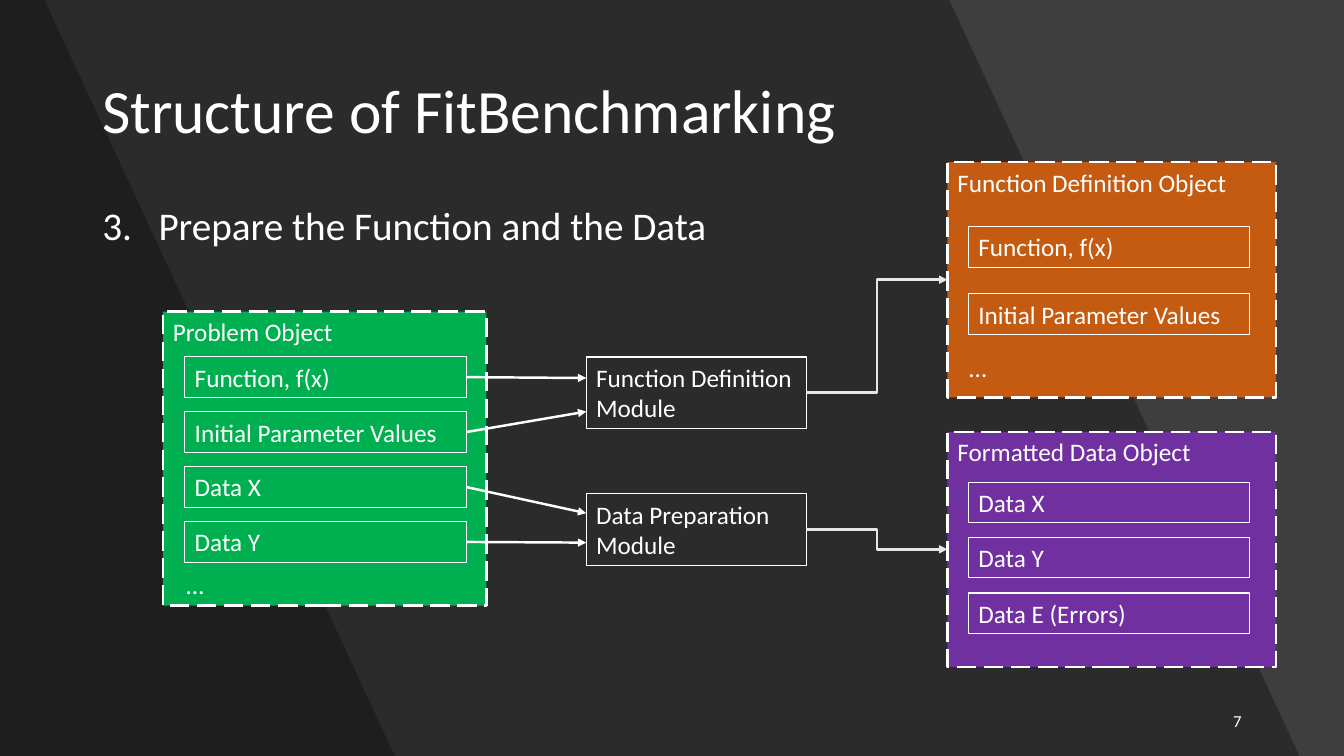
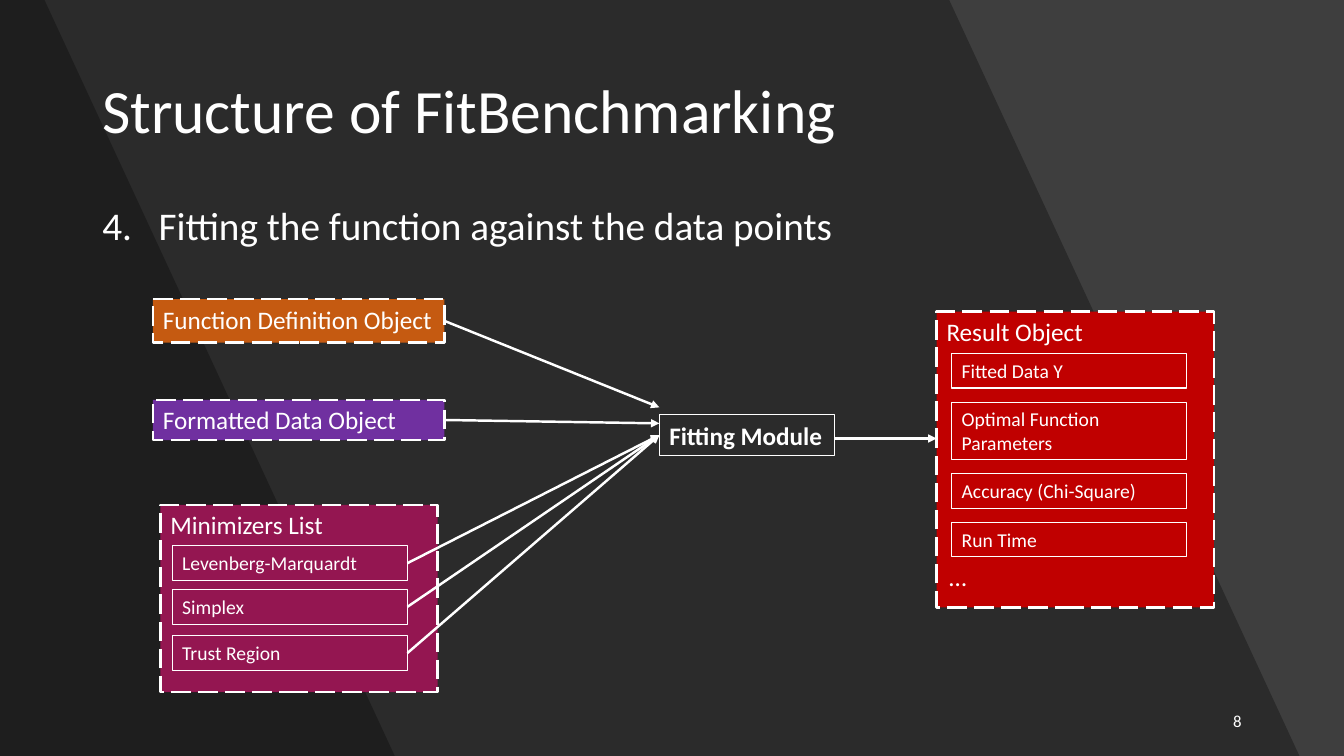
from lxml.etree import SubElement
from pptx import Presentation
from pptx.dml.color import RGBColor
from pptx.enum.dml import MSO_LINE
from pptx.enum.shapes import MSO_CONNECTOR, MSO_SHAPE
from pptx.enum.text import MSO_ANCHOR, PP_ALIGN
from pptx.oxml.ns import qn
from pptx.util import Inches, Pt

# Grid of 160 columns by 90 rows; every position below is in cells
CELL = Inches(1 / 12)
COLUMNS, ROWS = 160, 90

FONT = "Calibri"
WHITE = RGBColor(0xFF, 0xFF, 0xFF)
BLACK = RGBColor(0x00, 0x00, 0x00)
BACKDROP = RGBColor(0x45, 0x45, 0x45)
PALE = RGBColor(0xE7, 0xE6, 0xE6)
GREEN = RGBColor(0x00, 0xB0, 0x50)
ORANGE = RGBColor(0xC5, 0x5A, 0x11)
PURPLE = RGBColor(0x70, 0x30, 0xA0)
PLUM = RGBColor(0x94, 0x16, 0x51)
RED = RGBColor(0xC0, 0x00, 0x00)


def write(slide, text, place, size, edge=None, fill=None):
    """Add text, inside a rectangle when an edge width is given."""
    area = [round(cells * CELL) for cells in place]
    if edge is None:
        shape = slide.shapes.add_textbox(*area)
    else:
        shape = slide.shapes.add_shape(MSO_SHAPE.RECTANGLE, *area)
        shape.shadow.inherit = False
        shape.line.color.rgb = WHITE
        shape.line.width = Pt(edge)
        if fill is None:
            shape.fill.background()
        else:
            shape.fill.solid()
            shape.fill.fore_color.rgb = fill
            shape.line.dash_style = MSO_LINE.LONG_DASH
    frame = shape.text_frame
    frame.word_wrap = True
    frame.vertical_anchor = MSO_ANCHOR.TOP
    frame.text = text
    paragraph = frame.paragraphs[0]
    paragraph.alignment = PP_ALIGN.LEFT
    paragraph.font.name = FONT
    paragraph.font.size = Pt(size)
    paragraph.font.color.rgb = WHITE
    return shape


def arrow(slide, source, target, leave=None, enter=None,
          kind=MSO_CONNECTOR.STRAIGHT, color=WHITE):
    """Run from source's right side to target's left, mid-side unless a row is given."""
    link = slide.shapes.add_connector(
        kind, source.left + source.width, round((leave or 0) * CELL),
        target.left, round((enter or 0) * CELL))
    if leave is None:
        link.begin_connect(source, 3)
    if enter is None:
        link.end_connect(target, 1)
    link.line.color.rgb = color
    link.line.width = Pt(1.75)
    properties = link._element.spPr
    SubElement(properties.find(qn("a:ln")), qn("a:tailEnd"), type="triangle")
    SubElement(properties, qn("a:effectLst"))


prs = Presentation()
prs.slide_width = COLUMNS * CELL
prs.slide_height = ROWS * CELL
backdrop = prs.slide_master.background.fill
backdrop.solid()
backdrop.fore_color.rgb = BACKDROP

# Shared parts: shaded bands, title, numbered step and page number
# Each band: top right column, bottom right column, opacity in percent
BANDS = [(COLUMNS, COLUMNS, 9), (113, 154.7, 30), (5.3, 47, 30)]
PREPARE, FIT = 3, 4
STEPS = [
    (PREPARE, "Prepare the Function and the Data", 7),
    (FIT, "Fitting the function against the data points", 8),
]
slides = {}
for step, topic, page in STEPS:
    slide = prs.slides.add_slide(prs.slide_layouts[6])
    slides[step] = slide
    for top_right, bottom_right, opacity in BANDS:
        if top_right == bottom_right:
            band = slide.shapes.add_shape(
                MSO_SHAPE.RECTANGLE, 0, 0, prs.slide_width, prs.slide_height)
        else:
            outline = slide.shapes.build_freeform(0, 0)
            outline.add_line_segments([
                (top_right * CELL, 0),
                (bottom_right * CELL, ROWS * CELL),
                (0, ROWS * CELL)])
            band = outline.convert_to_shape()
        band.shadow.inherit = False
        band.line.fill.background()
        band.fill.solid()
        band.fill.fore_color.rgb = BLACK
        tint = band._element.spPr.find(qn("a:solidFill"))[0]
        SubElement(tint, qn("a:alpha"), val=str(opacity * 1000))

    title = write(slide, "Structure of FitBenchmarking", (11, 4.8, 138, 17.4), 44)
    title.text_frame.vertical_anchor = MSO_ANCHOR.MIDDLE
    title.text_frame.paragraphs[0].line_spacing = 0.9

    heading = write(slide, topic, (11, 24, 138, 57), 28).text_frame.paragraphs[0]
    heading.line_spacing = 0.9
    heading.space_before = Pt(10)
    numbering = heading._p.get_or_add_pPr()
    indent = round(6.7 * CELL)
    numbering.set("marL", str(indent))
    numbering.set("indent", str(-indent))
    counter = SubElement(numbering, qn("a:buAutoNum"),
                         type="arabicPeriod", startAt=str(step))
    numbering.find(qn("a:defRPr")).addprevious(counter)

    number = write(slide, str(page), (113, 83.4, 36, 4.8), 12)
    number.text_frame.vertical_anchor = MSO_ANCHOR.MIDDLE
    number.text_frame.paragraphs[0].alignment = PP_ALIGN.RIGHT

# Object panels: step, name, fill, place, then item column, width, size
# and the items as (text, row, height)
PANELS = [
    (PREPARE, "Problem Object", GREEN, (19.4, 37.1, 38.5, 35), 22, 33.5, 18,
     [(text, 42.5 + 6.54 * i, 4.8) for i, text in enumerate(
         ["Function, f(x)", "Initial Parameter Values", "Data X", "Data Y"])]),
    (PREPARE, "Function Definition Object", ORANGE, (112.8, 19.3, 39.1, 28), 115.3, 33.5, 18,
     [("Function, f(x)", 27, 4.8), ("Initial Parameter Values", 35, 4.8)]),
    (PREPARE, "Formatted Data Object", PURPLE, (112.8, 51.4, 39.1, 28), 115.3, 33.5, 18,
     [(text, 57.4 + 6.6 * i, 4.8) for i, text in enumerate(
         ["Data X", "Data Y", "Data E (Errors)"])]),
    (FIT, "Function Definition Object", ORANGE, (18.2, 35.6, 34.7, 5.2), 0, 0, 0, []),
    (FIT, "Formatted Data Object", PURPLE, (18.2, 47.6, 34.7, 4.8), 0, 0, 0, []),
    (FIT, "Minimizers List", PLUM, (19.1, 60.1, 33, 22.3), 20.5, 28, 14,
     [("Levenberg-Marquardt", 65, 4.1), ("Simplex", 70.2, 4.1), ("Trust Region", 75.7, 4.1)]),
    (FIT, "Result Object", RED, (111.5, 37.1, 33, 35.2), 113.3, 28, 14,
     [("Fitted Data Y", 42.1, 4.1), ("Optimal Function Parameters", 47.9, 6.8),
      ("Accuracy (Chi-Square)", 56.4, 4.1), ("Run Time", 62.2, 4.1)]),
]
panels, items = {}, {}
for step, name, fill, place, column, width, size, entries in PANELS:
    panels[step, name] = write(slides[step], name, place, 18, 1.75, fill)
    items[step, name] = [
        write(slides[step], text, (column, row, width, height), size, 0.75)
        for text, row, height in entries]

# Marks for further items
for step, column, row in [(PREPARE, 21, 67.2), (PREPARE, 114.2, 41.4), (FIT, 111.8, 66.2)]:
    write(slides[step], "…", (column, row, 28, 4.8), 18)

# Modules between the objects
preparing, fitting = slides[PREPARE], slides[FIT]
definition_module = write(
    preparing, "Function Definition Module", (69.8, 42.5, 26.2, 8.5), 18, 0.75)
preparation_module = write(
    preparing, "Data Preparation Module", (69.8, 58.8, 26.2, 8.5), 18, 0.75)
fitting_module = write(fitting, "Fitting Module", (78.5, 49.4, 20.9, 4.8), 18, 0.75)
fitting_module.text_frame.paragraphs[0].font.bold = True

# Arrows: problem items into the modules, modules into their objects
modules = [definition_module, definition_module, preparation_module, preparation_module]
for item, module, row in zip(items[PREPARE, "Problem Object"], modules, [45, 49, 61.1, 64.6]):
    arrow(preparing, item, module, enter=row)
for module, name in [(definition_module, "Function Definition Object"),
                     (preparation_module, "Formatted Data Object")]:
    arrow(preparing, module, panels[PREPARE, name], kind=MSO_CONNECTOR.ELBOW, color=PALE)

# Arrows: inputs and minimizers into the fit, the fit into its result
arrow(fitting, panels[FIT, "Function Definition Object"], fitting_module, enter=48.5)
arrow(fitting, panels[FIT, "Formatted Data Object"], fitting_module, enter=50.4)
for minimizer in items[FIT, "Minimizers List"]:
    arrow(fitting, minimizer, fitting_module)
arrow(fitting, fitting_module, panels[FIT, "Result Object"], leave=52.2, enter=52.2)

prs.save("out.pptx")
